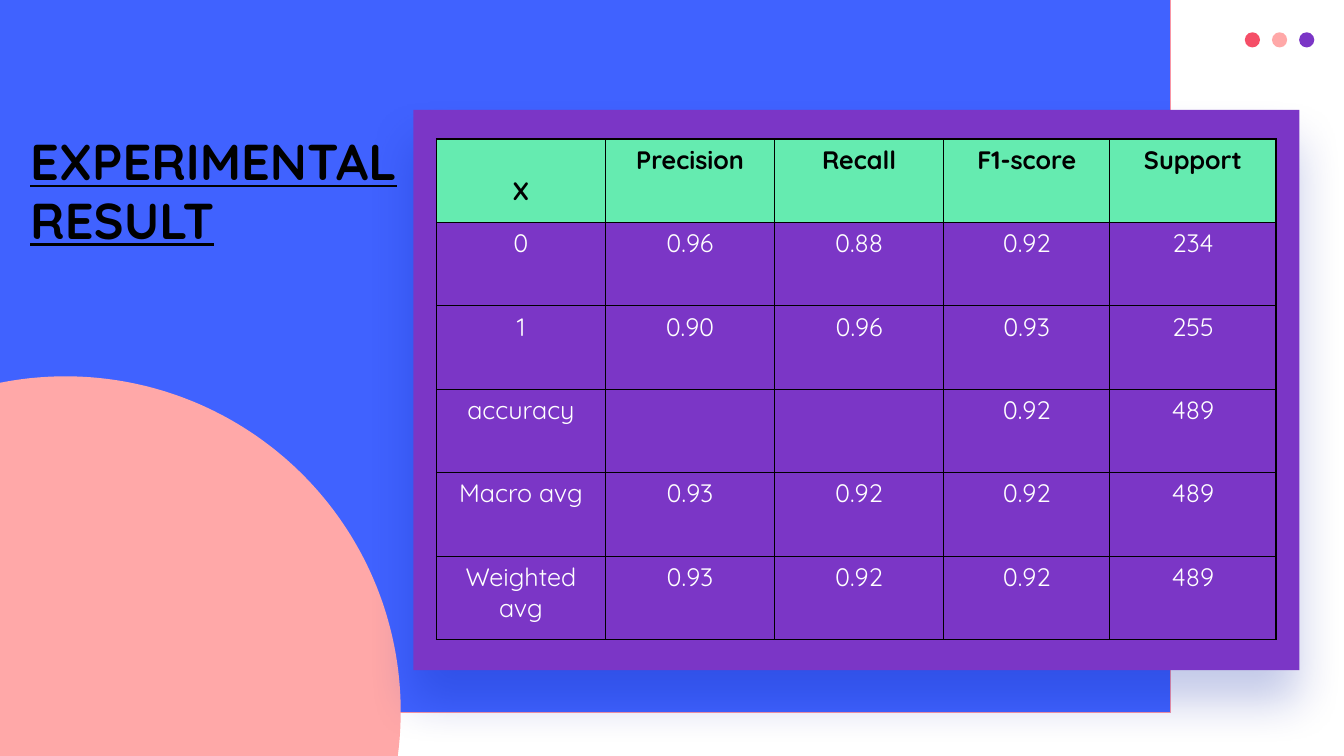
from dataclasses import dataclass
from math import asin, cos, pi, sin

from lxml import etree
from pptx import Presentation
from pptx.dml.color import RGBColor
from pptx.enum.shapes import MSO_SHAPE
from pptx.enum.text import MSO_ANCHOR, MSO_AUTO_SIZE, PP_ALIGN
from pptx.oxml.ns import qn
from pptx.util import Inches, Pt

RECTANGLE, OVAL = MSO_SHAPE.RECTANGLE, MSO_SHAPE.OVAL
LEFT, CENTER, TOP = PP_ALIGN.LEFT, PP_ALIGN.CENTER, MSO_ANCHOR.TOP
GROW = MSO_AUTO_SIZE.SHAPE_TO_FIT_TEXT

SLIDE_WIDTH, SLIDE_HEIGHT = Inches(13.33), Inches(7.5)
GRID_UNIT = SLIDE_WIDTH / 100  # square grid, 100 units across
TITLE_ONLY_LAYOUT = 5


@dataclass(frozen=True)
class Theme:
    """Colours, font and type sizes of the slide."""
    blue: str = "4062FF"
    blue_edge: str = "F995A4"
    pink: str = "FFA8A8"
    red: str = "F54E67"
    purple: str = "7B36C6"
    green: str = "65EBB0"
    shadow: str = "001CA0"
    black: str = "000000"
    white: str = "FFFFFF"
    font: str = "Quicksand"
    title_size: int = 36
    table_size: int = 18


@dataclass(frozen=True)
class Box:
    """A rectangle in grid units."""
    left: float
    top: float
    width: float
    height: float

    def lengths(self) -> tuple:
        """Return left, top, width and height as slide lengths."""
        return tuple(units(value) for value in
                     (self.left, self.top, self.width, self.height))


THEME = Theme()
BACKDROP = Box(-12.9, -3.22, 100, 56.25)
PANEL = Box(30.75, 8.18, 65.93, 41.7)
TITLE = Box(1.5, 9.6, 29.25, 9.82)
DOT, DOT_PITCH = Box(92.62, 2.4, 1.13, 1.13), 2.02
DOT_COLORS = (THEME.red, THEME.pink, THEME.purple)
CIRCLE_X, CIRCLE_Y, CIRCLE_RADIUS, CIRCLE_BOTTOM = 4.88, 52.95, 24.94, 56.7
ARC_STEPS = 120
COLUMN_WIDTHS = (12.58, 12.58, 12.58, 12.37, 12.37)
ROW_HEIGHT = 6.21
TABLE_LEFT, TABLE_TOP = 32.47, 10.35
SCORES = (
    ("X", "Precision", "Recall", "F1-score", "Support"),
    ("0", "0.96", "0.88", "0.92", "234"),
    ("1", "0.90", "0.96", "0.93", "255"),
    ("accuracy", "", "", "0.92", "489"),
    ("Macro avg", "0.93", "0.92", "0.92", "489"),
    ("Weighted avg", "0.93", "0.92", "0.92", "489"),
)


def units(value: float) -> int:
    """Convert grid units to a slide length."""
    return round(value * GRID_UNIT)


def paint(shape, color: str) -> None:
    """Give a shape a flat fill without line or shadow."""
    shape.shadow.inherit = False
    shape.fill.solid()
    shape.fill.fore_color.rgb = RGBColor.from_string(color)
    shape.line.fill.background()


def add_preset(slide, kind, box: Box, color: str):
    """Add a flat preset shape."""
    shape = slide.shapes.add_shape(kind, *box.lengths())
    paint(shape, color)
    return shape


def add_color(parent, color: str):
    """Append an RGB colour element."""
    return etree.SubElement(parent, qn("a:srgbClr"), val=color)


def add_soft_shadow(shape) -> None:
    """Put a soft shadow below a shape."""
    effects = shape._element.spPr.find(qn("a:effectLst"))
    shadow = etree.SubElement(effects, qn("a:outerShdw"), blurRad=str(Pt(34)),
                              dist=str(Pt(23)), dir="5400000", rotWithShape="0")
    etree.SubElement(add_color(shadow, THEME.shadow), qn("a:alpha"), val="24000")


def add_corner_circle(slide) -> None:
    """Draw the large circle cut by the left and bottom edges."""
    start = -pi / 2 - asin(CIRCLE_X / CIRCLE_RADIUS)
    end = asin((CIRCLE_BOTTOM - CIRCLE_Y) / CIRCLE_RADIUS)
    angles = [start + (end - start) * step / ARC_STEPS
              for step in range(ARC_STEPS + 1)]
    arc = [(units(CIRCLE_X + CIRCLE_RADIUS * cos(angle)),
            units(CIRCLE_Y + CIRCLE_RADIUS * sin(angle))) for angle in angles]
    builder = slide.shapes.build_freeform(0, units(CIRCLE_BOTTOM))
    builder.add_line_segments(arc, close=True)
    paint(builder.convert_to_shape(), THEME.pink)


def format_text(paragraph, size: int, color: str, bold: bool, align) -> None:
    """Format a paragraph and its runs."""
    paragraph.alignment = align
    for run in paragraph.runs:
        run.font.name = THEME.font
        run.font.size = Pt(size)
        run.font.bold = bold
        run.font.color.rgb = RGBColor.from_string(color)


def add_borders(cell) -> None:
    """Rule all four sides of a cell."""
    properties = cell._tc.get_or_add_tcPr()
    for side in ("a:lnL", "a:lnR", "a:lnT", "a:lnB"):
        line = etree.SubElement(properties, qn(side), w=str(Pt(1)))
        add_color(etree.SubElement(line, qn("a:solidFill")), THEME.black)


def add_score_table(slide) -> None:
    """Add the table of classification scores."""
    box = Box(TABLE_LEFT, TABLE_TOP, sum(COLUMN_WIDTHS), ROW_HEIGHT * len(SCORES))
    table = slide.shapes.add_table(len(SCORES), len(COLUMN_WIDTHS),
                                   *box.lengths()).table
    table.horz_banding = False
    for column, width in zip(table.columns, COLUMN_WIDTHS):
        column.width = units(width)
    for row_index, values in enumerate(SCORES):
        header = row_index == 0
        table.rows[row_index].height = units(ROW_HEIGHT)
        for column_index, value in enumerate(values):
            cell = table.cell(row_index, column_index)
            add_borders(cell)
            cell.fill.solid()
            cell.fill.fore_color.rgb = RGBColor.from_string(
                THEME.green if header else THEME.purple)
            cell.text_frame.text = value
            format_text(cell.text_frame.paragraphs[0], THEME.table_size,
                        THEME.black if header else THEME.white, header, CENTER)
    table.cell(0, 0).text_frame.paragraphs[0].line_spacing = 2.0


def place_title(slide) -> None:
    """Fill the title placeholder and bring it to the front."""
    title = slide.shapes.title
    title.left, title.top, title.width, title.height = TITLE.lengths()
    frame = title.text_frame
    frame.text = "EXPERIMENTAL RESULT"
    frame.word_wrap = True
    frame.auto_size = GROW
    frame.vertical_anchor = TOP
    paragraph = frame.paragraphs[0]
    paragraph.line_spacing = 0.97
    format_text(paragraph, THEME.title_size, THEME.black, True, LEFT)
    paragraph.runs[0].font.underline = True
    slide.shapes._spTree.append(title._element)


def main() -> None:
    """Build and save the slide."""
    presentation = Presentation()
    presentation.slide_width, presentation.slide_height = SLIDE_WIDTH, SLIDE_HEIGHT
    slide = presentation.slides.add_slide(
        presentation.slide_layouts[TITLE_ONLY_LAYOUT])
    backdrop = add_preset(slide, RECTANGLE, BACKDROP, THEME.blue)
    backdrop.line.color.rgb = RGBColor.from_string(THEME.blue_edge)
    backdrop.line.width = 0
    add_corner_circle(slide)
    for index, color in enumerate(DOT_COLORS):
        dot = Box(DOT.left + index * DOT_PITCH, DOT.top, DOT.width, DOT.height)
        add_preset(slide, OVAL, dot, color)
    add_soft_shadow(add_preset(slide, RECTANGLE, PANEL, THEME.purple))
    add_score_table(slide)
    place_title(slide)
    presentation.save("out.pptx")


main()
